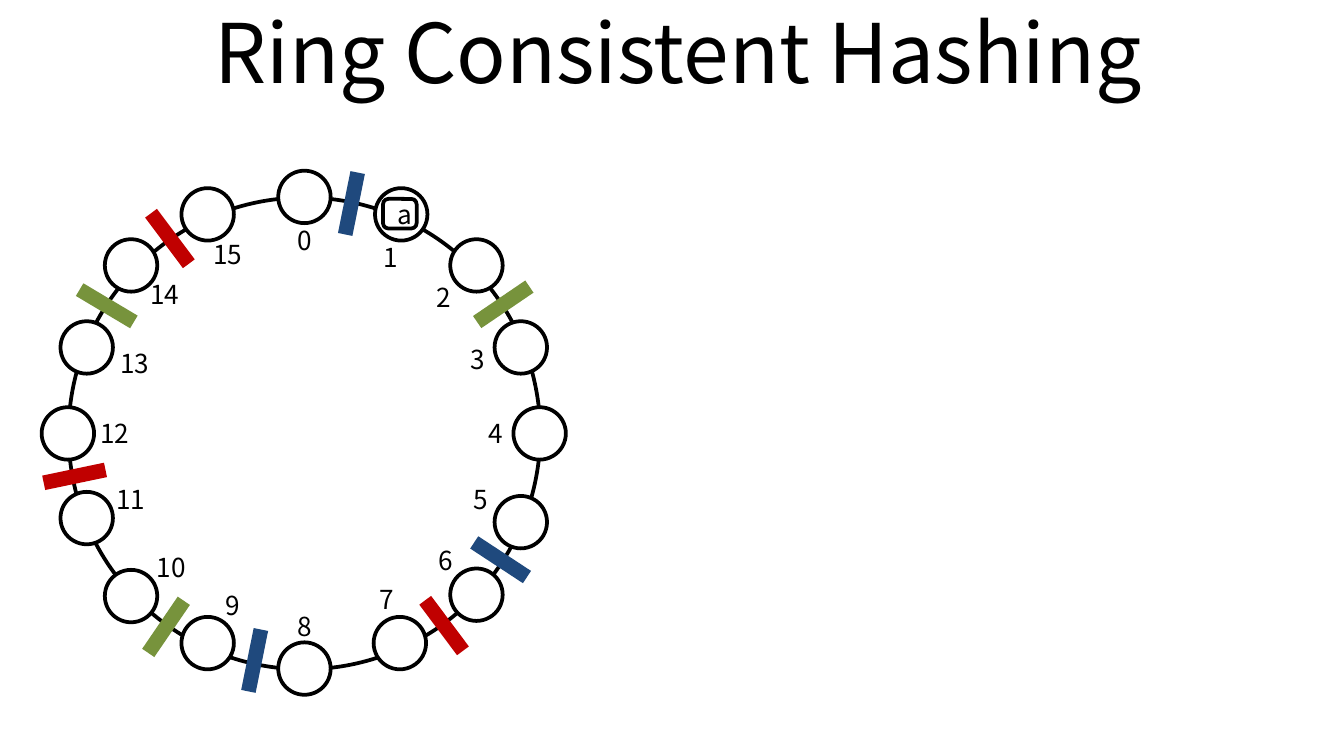
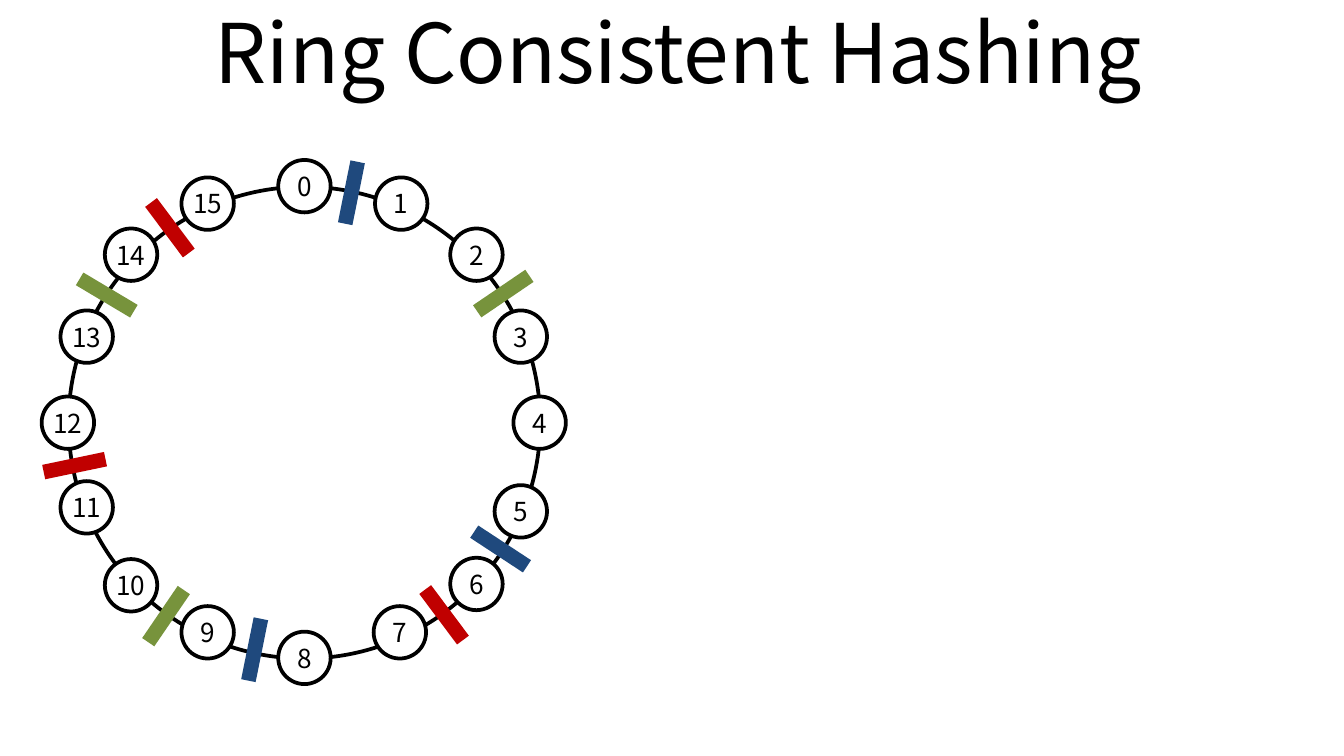
from typing import NamedTuple

from pptx import Presentation
from pptx.dml.color import RGBColor
from pptx.enum.shapes import MSO_SHAPE
from pptx.enum.text import MSO_ANCHOR, MSO_AUTO_SIZE, PP_ALIGN
from pptx.util import Inches, Pt

OVAL, RECTANGLE = MSO_SHAPE.OVAL, MSO_SHAPE.RECTANGLE
ROUNDED = MSO_SHAPE.ROUNDED_RECTANGLE
MIDDLE, CENTER, NO_FIT = MSO_ANCHOR.MIDDLE, PP_ALIGN.CENTER, MSO_AUTO_SIZE.NONE

FONT = "Noto Sans CJK KR"
BLACK, WHITE = "000000", "FFFFFF"
BLUE, RED, GREEN = "1F497D", "C00000", "77933C"

TITLE = "Ring Consistent Hashing"
RING_SIZE, NODE_SIZE = 3.51, 0.39
LABEL_HEIGHT = 0.24
TOKEN_WIDTH, TOKEN_HEIGHT = 0.11, 0.47


class Node(NamedTuple):
    """A ring position and the place of its label inside the ring."""
    left: float
    top: float
    label_left: float
    label_top: float


class Token(NamedTuple):
    """A server's coloured mark across the ring."""
    left: float
    top: float
    rotation: float
    color: str


# Numbered clockwise from 0 at the top.
NODES = [
    Node(2.07, 1.27, 2.07, 1.67),
    Node(2.79, 1.40, 2.71, 1.79),
    Node(3.35, 1.78, 3.11, 2.09),
    Node(3.68, 2.39, 3.36, 2.55),
    Node(3.82, 3.03, 3.49, 3.10),
    Node(3.68, 3.69, 3.38, 3.59),
    Node(3.35, 4.23, 3.12, 4.05),
    Node(2.78, 4.59, 2.68, 4.34),
    Node(2.07, 4.78, 2.07, 4.54),
    Node(1.35, 4.59, 1.54, 4.38),
    Node(0.78, 4.24, 1.02, 4.10),
    Node(0.45, 3.66, 0.72, 3.59),
    Node(0.31, 3.03, 0.60, 3.10),
    Node(0.45, 2.39, 0.75, 2.58),
    Node(0.78, 1.78, 0.97, 2.07),
    Node(1.35, 1.40, 1.44, 1.77),
]

TOKENS = [
    Token(2.56, 1.28, 11.4, BLUE),
    Token(1.84, 4.68, 11.4, BLUE),
    Token(3.67, 3.93, 303.3, BLUE),
    Token(1.21, 1.54, 323.2, RED),
    Token(3.25, 4.42, 323.2, RED),
    Token(0.50, 3.31, 78.2, RED),
    Token(1.18, 4.43, 34.3, GREEN),
    Token(3.69, 2.03, 55.8, GREEN),
    Token(0.74, 2.04, 300.8, GREEN),
]


def rgb(color: str) -> RGBColor:
    return RGBColor.from_string(color)


def write(shape, text: str, size: float) -> None:
    frame = shape.text_frame
    frame.vertical_anchor = MIDDLE
    para = frame.paragraphs[0]
    para.alignment = CENTER
    span = para.add_run()
    span.text = text
    span.font.name = FONT
    span.font.size = Pt(size)
    span.font.color.rgb = rgb(BLACK)


def add_box(page, kind, left: float, top: float, width: float, height: float,
            fill: str | None = None, line: str | None = None):
    box = page.shapes.add_shape(kind, Inches(left), Inches(top),
                                Inches(width), Inches(height))
    box.shadow.inherit = False
    if fill:
        box.fill.solid()
        box.fill.fore_color.rgb = rgb(fill)
    else:
        box.fill.background()
    if line:
        box.line.color.rgb = rgb(line)
        box.line.width = Pt(2)
    else:
        box.line.fill.background()
    return box


def add_page(deck):
    page = deck.slides.add_slide(deck.slide_layouts[5])
    title = page.shapes.title
    title.left, title.top = Inches(0.55), Inches(-0.09)
    title.width, title.height = Inches(9), Inches(0.94)
    title.text_frame.auto_size = NO_FIT
    write(title, TITLE, 44)
    return page


def add_label(page, number: int, node: Node, shift: float, inside_node: bool) -> None:
    width = 0.39 if number < 10 else 0.51
    left, top = node.label_left, node.label_top
    if inside_node:
        left = node.left + (NODE_SIZE - width) / 2
        top = node.top + (NODE_SIZE - LABEL_HEIGHT) / 2
    label = add_box(page, ROUNDED, left, top + shift, width, LABEL_HEIGHT)
    label.adjustments[0] = 0.15
    write(label, str(number), 14)


def add_ring(page, shift: float, labels_inside_nodes: bool) -> None:
    """Draw the ring, moved down by shift, with its nodes, labels and tokens."""
    add_box(page, OVAL, 0.51, 1.47 + shift, RING_SIZE, RING_SIZE, WHITE, BLACK)
    for node in NODES:
        add_box(page, OVAL, node.left, node.top + shift,
                NODE_SIZE, NODE_SIZE, WHITE, BLACK)
    for number, node in enumerate(NODES):
        add_label(page, number, node, shift, labels_inside_nodes)
    for token in TOKENS:
        mark = add_box(page, RECTANGLE, token.left, token.top + shift,
                       TOKEN_WIDTH, TOKEN_HEIGHT, token.color)
        mark.rotation = token.rotation


def add_key(page, name: str, left: float, top: float) -> None:
    key = add_box(page, ROUNDED, left, top, 0.25, 0.22, WHITE, BLACK)
    key.adjustments[0] = 0.18
    frame = key.text_frame
    frame.word_wrap = False
    frame.margin_left, frame.margin_right = Inches(0.07), Inches(0)
    write(key, name, 14)


def main() -> None:
    deck = Presentation()
    deck.slide_width = Inches(10)
    deck.slide_height = deck.slide_width * 9 // 16

    page = add_page(deck)
    add_ring(page, shift=0, labels_inside_nodes=False)
    add_key(page, "a", 2.85, 1.48)

    page = add_page(deck)
    add_ring(page, shift=-0.08, labels_inside_nodes=True)

    deck.save("out.pptx")


if __name__ == "__main__":
    main()
